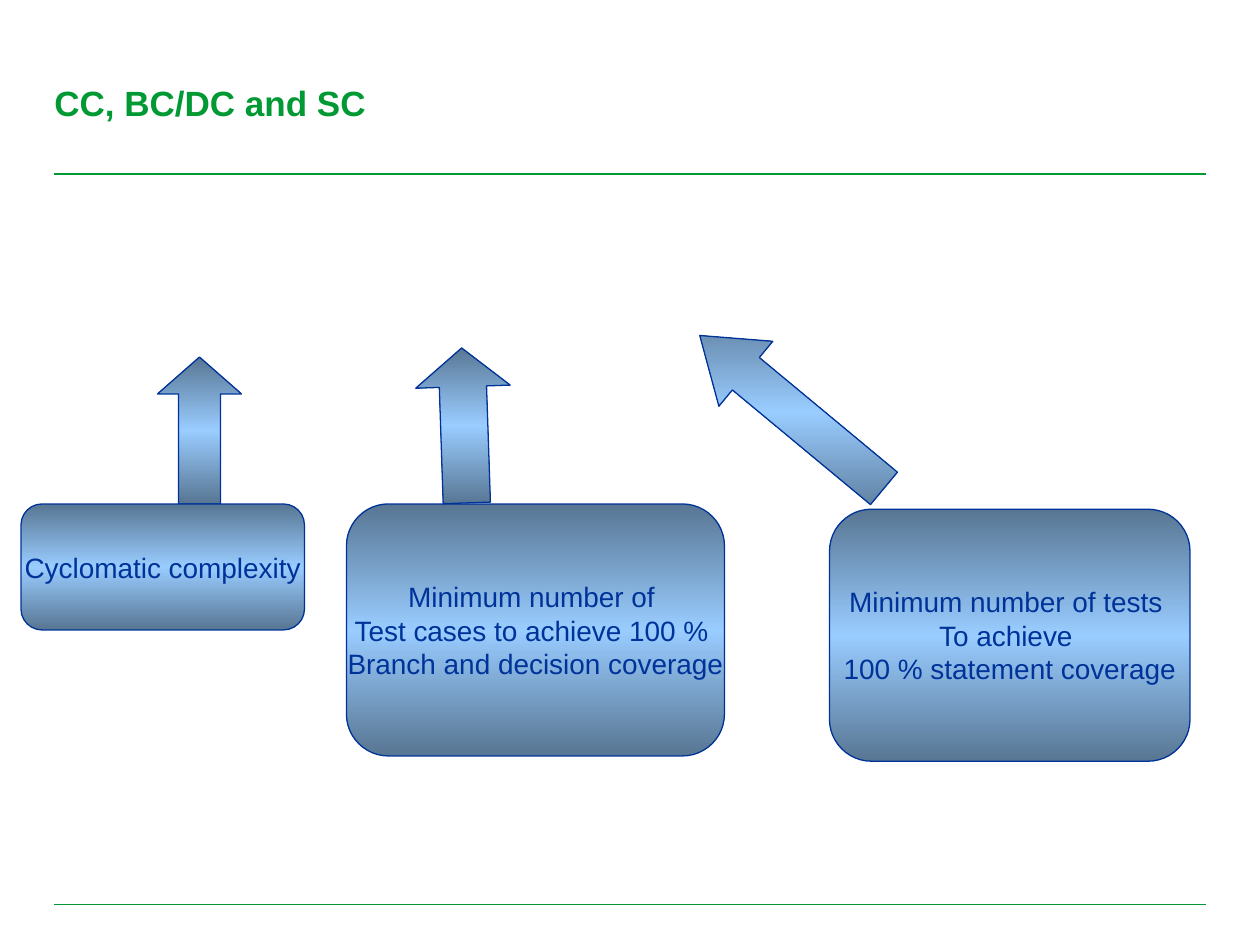
import copy

import pptx
import pptx.dml.color
import pptx.enum.shapes
import pptx.enum.text
import pptx.oxml.ns
import pptx.util

Pt = pptx.util.Pt
RGBColor = pptx.dml.color.RGBColor
MSO_SHAPE = pptx.enum.shapes.MSO_SHAPE
PP_ALIGN = pptx.enum.text.PP_ALIGN
MSO_ANCHOR = pptx.enum.text.MSO_ANCHOR
qn = pptx.oxml.ns.qn

GREEN = RGBColor(0x00, 0x99, 0x33)
NAVY = RGBColor(0x00, 0x33, 0x99)
STEEL = RGBColor(0x58, 0x76, 0x93)
SKY = RGBColor(0x99, 0xCC, 0xFF)


def write_text(tf, text, size=16, color=NAVY, bold=False,
               align=PP_ALIGN.CENTER, anchor=MSO_ANCHOR.MIDDLE, wrap=False):
    """Fill the frame with one paragraph for each line of text."""
    tf.word_wrap = wrap
    tf.vertical_anchor = anchor
    for i, line in enumerate(text.split("\n")):
        p = tf.paragraphs[0] if i == 0 else tf.add_paragraph()
        p.alignment = align
        r = p.add_run()
        r.text = line
        r.font.name = "Arial"
        r.font.size = Pt(size)
        r.font.bold = bold
        r.font.color.rgb = color


class SlideBuilder:
    line_width = Pt(0.75)

    def __init__(self, prs):
        self.s = prs.slides.add_slide(prs.slide_layouts[5])

    def title(self, text, x, y, w, h):
        sp = self.s.shapes.title
        sp.left, sp.top, sp.width, sp.height = Pt(x), Pt(y), Pt(w), Pt(h)
        tf = sp.text_frame
        tf.margin_left = tf.margin_right = tf.margin_top = tf.margin_bottom = 0
        write_text(tf, text, size=20, color=GREEN, bold=True,
                   align=PP_ALIGN.LEFT, wrap=True)

    def rule(self, x1, x2, y):
        line = self.s.shapes.add_connector(
            pptx.enum.shapes.MSO_CONNECTOR.STRAIGHT, Pt(x1), Pt(y), Pt(x2), Pt(y))
        line.line.color.rgb = GREEN
        line.line.width = self.line_width
        spPr = line._element.spPr
        spPr.append(spPr.makeelement(qn("a:effectLst"), {}))

    def shape(self, kind, x, y, w, h):
        sp = self.s.shapes.add_shape(kind, Pt(x), Pt(y), Pt(w), Pt(h))
        sp.shadow.inherit = False
        sp.line.color.rgb = NAVY
        sp.line.width = self.line_width
        self.shade(sp)
        return sp

    def shade(self, sp):
        """Shade from steel through sky to steel, top to bottom on the slide."""
        sp.fill.gradient()
        sp.fill.gradient_angle = 90
        grad = sp._element.spPr.find(qn("a:gradFill"))
        grad.set("rotWithShape", "0")
        stops = grad.find(qn("a:gsLst"))
        stops.append(copy.deepcopy(stops[-1]))
        for stop, position, color in zip(sp.fill.gradient_stops, (0, 0.5, 1),
                                         (STEEL, SKY, STEEL)):
            stop.position = position
            stop.color.rgb = color

    def box(self, text, x, y, w, h):
        sp = self.shape(MSO_SHAPE.FLOWCHART_ALTERNATE_PROCESS, x, y, w, h)
        write_text(sp.text_frame, text)

    def arrow(self, x, y, w, h, head, rotation=0):
        """Up arrow; head is the head's length as a share of the width."""
        sp = self.shape(MSO_SHAPE.UP_ARROW, x, y, w, h)
        sp.adjustments[0] = 0.5
        sp.adjustments[1] = head
        sp.rotation = rotation


def main():
    prs = pptx.Presentation()
    prs.slide_width, prs.slide_height = Pt(720), Pt(540)
    b = SlideBuilder(prs)

    for y in (99.5, 517):
        b.rule(31, 689, y)
    b.title("CC, BC/DC and SC", 31, 46.5, 586, 24)

    b.arrow(428.4, 167, 48.2, 136.8, head=0.71, rotation=309.7)
    b.arrow(90, 204, 48, 84, head=0.44)
    b.box("Cyclomatic complexity", 12, 288, 162, 72)
    b.box("Minimum number of \nTest cases to achieve 100 % \n"
          "Branch and decision coverage", 198, 288, 216, 144)
    b.arrow(238.3, 198.8, 54, 88.6, head=0.41, rotation=358.1)
    b.box("Minimum number of tests \nTo achieve \n"
          "100 % statement coverage", 474, 291, 206, 144)

    prs.save("out.pptx")


if __name__ == "__main__":
    main()
